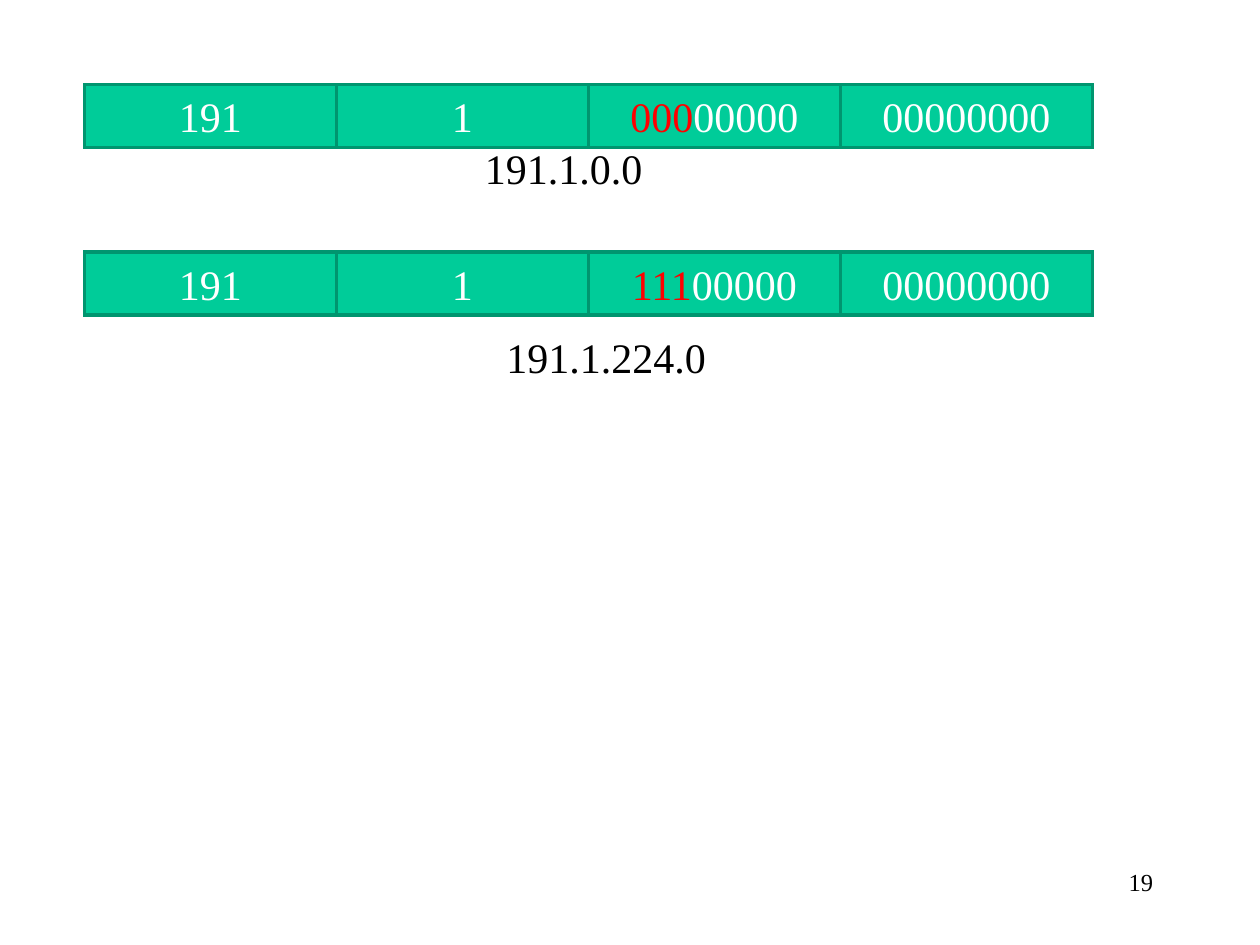
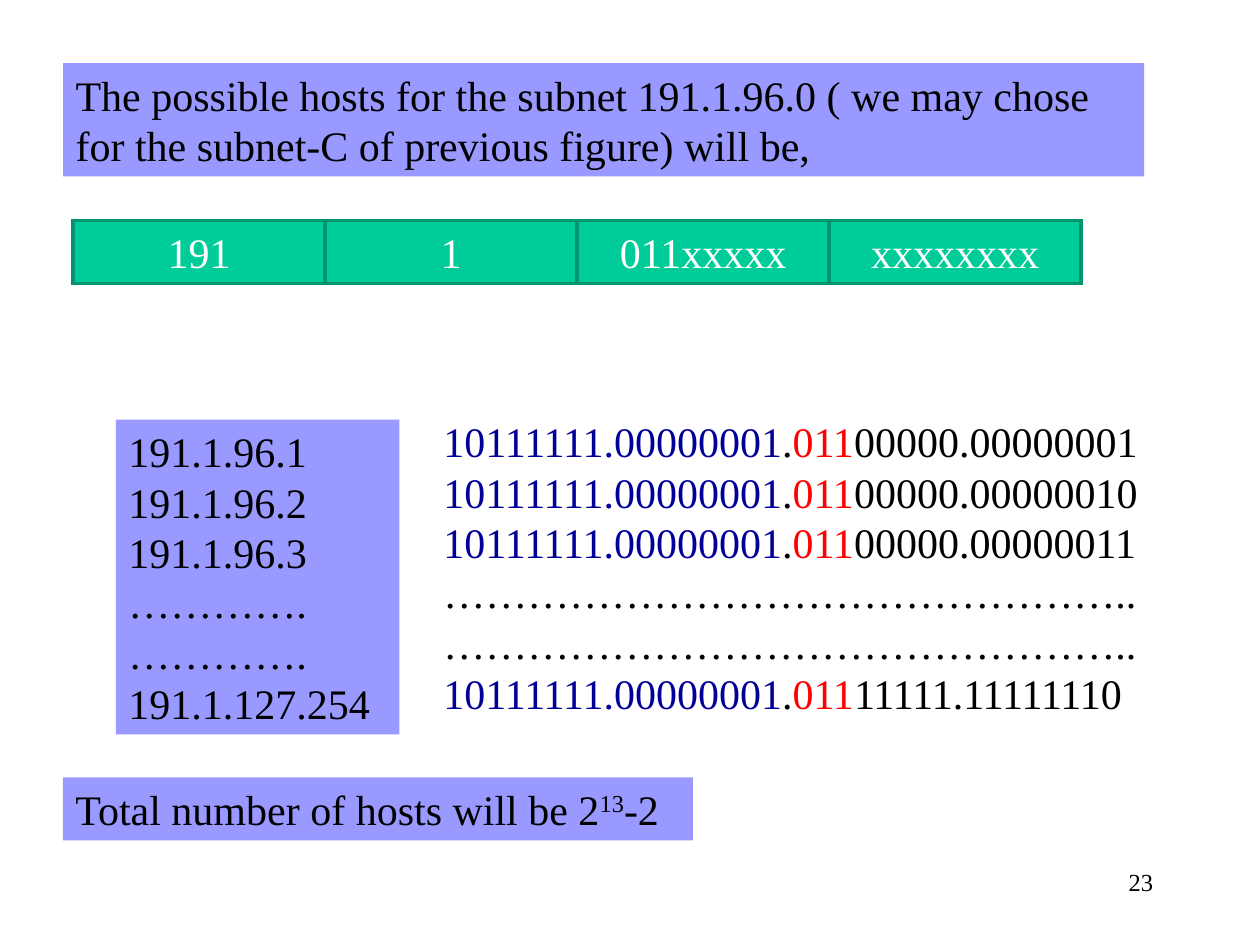
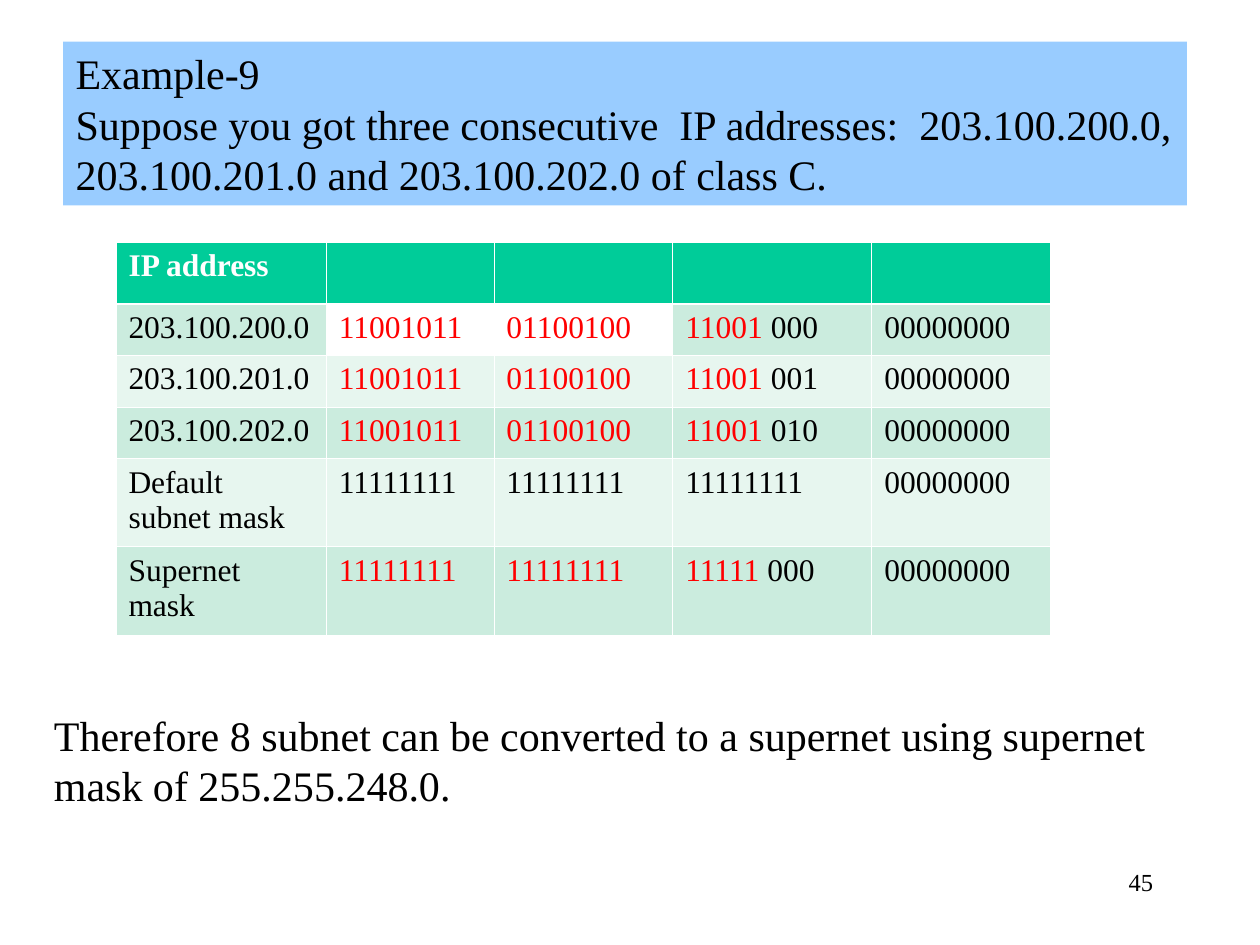
from lxml import etree
from pptx import Presentation
from pptx.dml.color import RGBColor
from pptx.enum.shapes import MSO_SHAPE
from pptx.enum.text import MSO_ANCHOR, MSO_AUTO_SIZE, PP_ALIGN
from pptx.oxml.ns import qn
from pptx.util import Inches, Pt

RECT = MSO_SHAPE.RECTANGLE
LEFT, CENTER, RIGHT = PP_ALIGN.LEFT, PP_ALIGN.CENTER, PP_ALIGN.RIGHT
TOP, MIDDLE = MSO_ANCHOR.TOP, MSO_ANCHOR.MIDDLE
NO_FIT = MSO_AUTO_SIZE.NONE
TITLE_ONLY, BLANK = 5, 6


class Theme:
    font = "Times New Roman"
    body, table, number = 24, 18, 14
    line_ratio, table_ratio = 1.2, 1.11
    black, white = "000000", "FFFFFF"
    red, navy = "FF0000", "000099"
    green, green_edge = "00CC99", "00956F"
    band_dark, band_light = "CBECDE", "E7F6EF"
    violet, sky = "9999FF", "99CCFF"


def write(tf, paragraphs, size=Theme.body, color=Theme.black, bold=False,
          align=LEFT, anchor=TOP, ratio=Theme.line_ratio):
    """Fill a text frame; a paragraph is a string or a list of runs,
    a run is a string or (text, colour) or (text, colour, baseline)."""
    tf.word_wrap = True
    tf.vertical_anchor = anchor
    for i, runs in enumerate(paragraphs):
        p = tf.paragraphs[0] if i == 0 else tf.add_paragraph()
        p.alignment = align
        p.line_spacing = Pt(round(size * ratio, 1))
        for run in [runs] if isinstance(runs, str) else runs:
            text, run_color, *baseline = (run, color) if isinstance(run, str) else run
            r = p.add_run()
            r.text = text
            r.font.name = Theme.font
            r.font.size = Pt(size)
            r.font.bold = bold
            r.font.color.rgb = RGBColor.from_string(run_color)
            if baseline:
                r.font._element.set("baseline", str(baseline[0] * 1000))


def add_box(shapes, x, y, w, h, paragraphs, fill=None, line=None, **style):
    """Add a text box, or a rectangle when a fill is given."""
    box = [Inches(v) for v in (x, y, w, h)]
    if fill:
        sp = shapes.add_shape(RECT, *box)
        sp.shadow.inherit = False
        sp.fill.solid()
        sp.fill.fore_color.rgb = RGBColor.from_string(fill)
        if line:
            sp.line.color.rgb = RGBColor.from_string(line)
            sp.line.width = Pt(2)
            ln = sp._element.spPr.find(qn("a:ln"))
            etree.SubElement(ln, qn("a:miter"), lim="800000")
        else:
            sp.line.fill.background()
    else:
        sp = shapes.add_textbox(*box)
    write(sp.text_frame, paragraphs, **style)


prs = Presentation()
prs.slide_width, prs.slide_height = Inches(10), Inches(7.5)

# Page numbers and headings
headings = [
    (19, None),
    (23, (0.5, 0.5, 8.58, 0.9, Theme.violet, [
        "The possible hosts for the subnet 191.1.96.0 ( we may chose "
        "for the subnet-C of previous figure) will be,"])),
    (45, (0.5, 0.33, 8.92, 1.3, Theme.sky, [
        "Example-9",
        "Suppose you got three consecutive  IP addresses:  203.100.200.0, "
        "203.100.201.0 and 203.100.202.0 of class C."])),
]
for number, heading in headings:
    s = prs.slides.add_slide(prs.slide_layouts[TITLE_ONLY if heading else BLANK])
    add_box(s.shapes, 7.17, 6.83, 2.08, 0.5, [str(number)],
            size=Theme.number, align=RIGHT)
    if heading:
        *box, fill, paragraphs = heading
        title = s.shapes.title
        title.left, title.top, title.width, title.height = map(Inches, box)
        title.fill.solid()
        title.fill.fore_color.rgb = RGBColor.from_string(fill)
        title.text_frame.auto_size = NO_FIT
        write(title.text_frame, paragraphs)

mask_slide, hosts_slide, supernet_slide = prs.slides

# Address bars of four octets
address_bars = [
    (mask_slide, 0.67, 0.67,
     ["191", "1", [("000", Theme.red), "00000"], "00000000"]),
    (mask_slide, 0.67, 2,
     ["191", "1", [("111", Theme.red), "00000"], "00000000"]),
    (hosts_slide, 0.58, 1.75, ["191", "1", "011xxxxx", "xxxxxxxx"]),
]
for s, x, y, octets in address_bars:
    group = s.shapes.add_group_shape()
    for i, octet in enumerate(octets):
        add_box(group.shapes, x + 2 * i, y, 2, 0.5, [octet], fill=Theme.green,
                line=Theme.green_edge, color=Theme.white, align=CENTER, anchor=MIDDLE)

add_box(mask_slide.shapes, 3.75, 1.08, 1.92, 0.5, ["191.1.0.0"])
add_box(mask_slide.shapes, 3.92, 2.58, 1.92, 0.5, ["191.1.224.0"])

# Hosts in decimal and in binary
dots = "…" * 4 + "."
long_dots = "…" * 16 + ".."
host_bits = ["00000.00000001", "00000.00000010", "00000.00000011",
             None, None, "11111.11111110"]
binary_hosts = [
    [("10111111.00000001", Theme.navy), ".", ("011", Theme.red), bits]
    if bits else long_dots for bits in host_bits]
add_box(hosts_slide.shapes, 0.92, 3.33, 2.25, 2.5,
        ["191.1.96.1", "191.1.96.2", "191.1.96.3", dots, dots, "191.1.127.254"],
        fill=Theme.violet)
add_box(hosts_slide.shapes, 0.5, 6.17, 5, 0.5,
        [["Total number of hosts will be 2", ("13", Theme.black, 30), "-2"]],
        fill=Theme.violet)
add_box(hosts_slide.shapes, 3.42, 3.25, 5.92, 2.5, binary_hosts)

# Supernet table
zeros, ones = "00000000", "11111111"
red_ones = [(ones, Theme.red)]
rows = [[["IP address"], [], [], [], []]]
for n, bits in enumerate(["000", "001", "010"]):
    rows.append([[f"203.100.20{n}.0"], [[("11001011", Theme.red)]],
                 [[("01100100", Theme.red)]],
                 [[("11001", Theme.red), " " + bits]], [zeros]])
rows.append([["Default", "subnet mask"], [ones], [ones], [ones], [zeros]])
rows.append([["Supernet mask"], [red_ones], [red_ones],
             [[("11111 ", Theme.red), "000"]], [zeros]])
col_widths = [1.67, 1.33, 1.42, 1.58, 1.42]
row_heights = [0.49, 0.41, 0.41, 0.41, 0.7, 0.7]
table = supernet_slide.shapes.add_table(
    len(rows), len(col_widths), Inches(0.92), Inches(1.92),
    Inches(sum(col_widths)), Inches(sum(row_heights))).table
for column, width in zip(table.columns, col_widths):
    column.width = Inches(width)
for i, (row, height) in enumerate(zip(rows, row_heights)):
    table.rows[i].height = Inches(height)
    for j, paragraphs in enumerate(row):
        cell = table.cell(i, j)
        if i == 0:
            fill = Theme.green
        elif i == 1 and j in (1, 2):
            fill = Theme.white
        else:
            fill = Theme.band_dark if i % 2 else Theme.band_light
        cell.fill.solid()
        cell.fill.fore_color.rgb = RGBColor.from_string(fill)
        write(cell.text_frame, paragraphs, size=Theme.table, bold=i == 0,
              color=Theme.black if i else Theme.white, ratio=Theme.table_ratio)
        tc_pr = cell._tc.get_or_add_tcPr()
        for k, side in enumerate(["lnL", "lnR", "lnT", "lnB"]):
            under_header = (i, side) in [(0, "lnB"), (1, "lnT")]
            ln = etree.Element(qn("a:" + side), w=str(Pt(1.47 if under_header else 0.45)))
            solid = etree.SubElement(ln, qn("a:solidFill"))
            etree.SubElement(solid, qn("a:srgbClr"), val=Theme.white)
            tc_pr.insert(k, ln)

add_box(supernet_slide.shapes, 0.33, 5.58, 9.33, 0.9, [
    "Therefore 8 subnet can be converted to a supernet using supernet "
    "mask of 255.255.248.0."])

prs.save("out.pptx")
